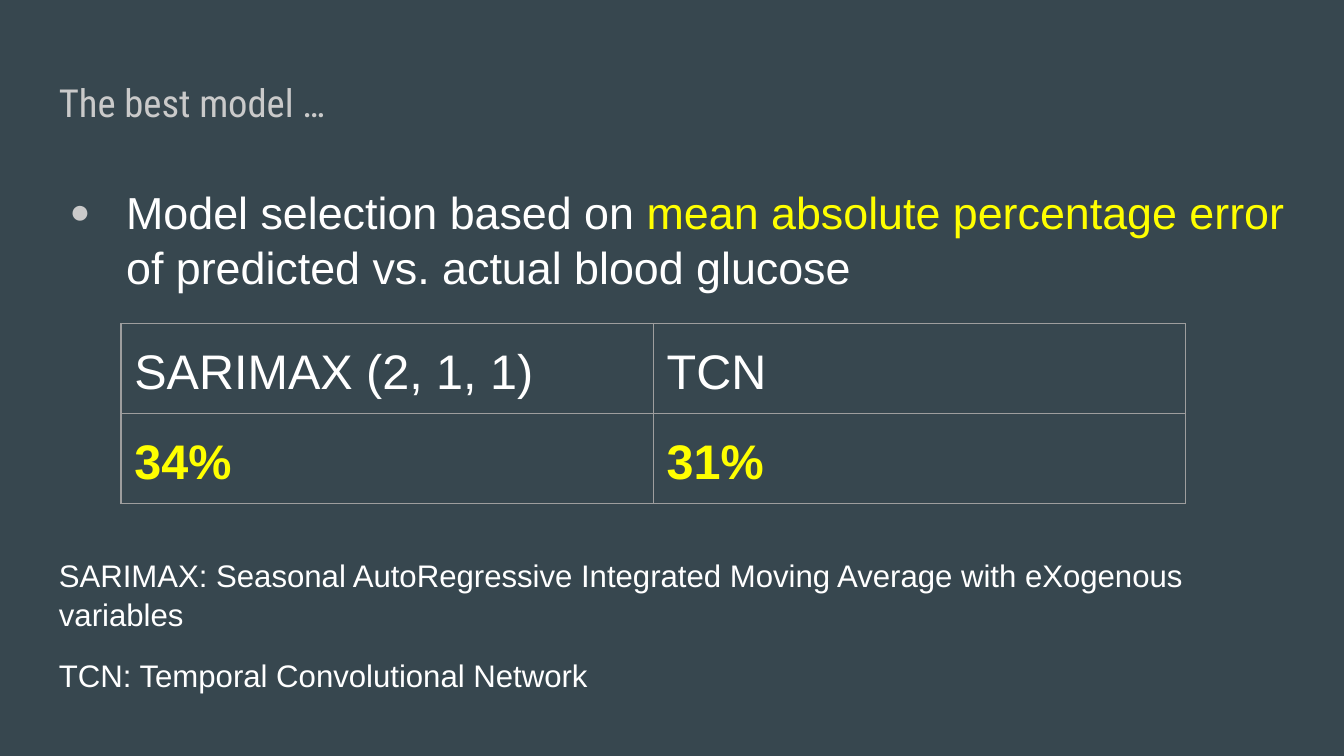
from lxml import etree
from pptx import Presentation
from pptx.dml.color import RGBColor
from pptx.oxml.ns import qn
from pptx.util import Inches, Pt

COLORS = {"back": "37474F", "title": "CACACA", "text": "FFFFFF",
          "mark": "FFFF00", "rule": "9E9E9E"}


def paint(name):
    return RGBColor.from_string(COLORS[name])


def add_text(para, text, size=24, color="text", font="Arial", bold=False):
    run = para.add_run()
    run.text = text
    run.font.size = Pt(size)
    run.font.name = font
    run.font.bold = bold
    run.font.color.rgb = paint(color)


def add_frame(slide, box):
    frame = slide.shapes.add_textbox(*map(Inches, box)).text_frame
    frame.word_wrap = True
    frame.margin_top = frame.margin_bottom = Inches(0.1)
    frame.margin_right = Inches(0.05)
    return frame


def add_bullet(para):
    props = para._p.get_or_add_pPr()
    props.set("marL", str(Inches(0.5)))
    props.set("indent", str(Inches(-0.42)))
    tint = etree.SubElement(props, qn("a:buClr"))
    etree.SubElement(tint, qn("a:srgbClr"), val=COLORS["title"])
    etree.SubElement(props, qn("a:buSzPct"), val="77000")
    etree.SubElement(props, qn("a:buFont"), typeface="Arial")
    etree.SubElement(props, qn("a:buChar"), char="●")


def add_rules(cell):
    props = cell._tc.get_or_add_tcPr()
    for spot, side in enumerate(("lnL", "lnR", "lnT", "lnB")):
        line = etree.Element(qn("a:" + side), w=str(Pt(0.75)))
        fill = etree.SubElement(line, qn("a:solidFill"))
        etree.SubElement(fill, qn("a:srgbClr"), val=COLORS["rule"])
        props.insert(spot, line)


def add_title(slide, box):
    para = add_frame(slide, box).paragraphs[0]
    add_text(para, "The best model …", size=20.7, color="title", font="Roboto Condensed")


def add_body(slide, box):
    frame = add_frame(slide, box)
    para = frame.paragraphs[0]
    para.line_spacing = 1.03
    add_bullet(para)
    add_text(para, "Model selection based on ")
    add_text(para, "mean absolute percentage error ", color="mark")
    add_text(para, "of predicted vs. actual blood glucose")
    notes = [("SARIMAX: Seasonal AutoRegressive Integrated Moving Average with eXogenous variables", 140),
             ("TCN: Temporal Convolutional Network", 12)]
    for text, gap in notes:
        para = frame.add_paragraph()
        para.line_spacing = 1.04
        para.space_before = Pt(gap)
        add_text(para, text, size=16.7)


def add_scores(slide, box):
    rows = [("SARIMAX (2, 1, 1)", "TCN"), ("34%", "31%")]
    frame = slide.shapes.add_table(len(rows), len(rows[0]), *map(Inches, box))
    table = frame.table
    table.first_row = table.horz_banding = False
    for r, row in enumerate(rows):
        for c, text in enumerate(row):
            cell = table.cell(r, c)
            cell.fill.background()
            cell.margin_left = cell.margin_right = cell.margin_top = Inches(0.1)
            cell.margin_bottom = Inches(0.07)
            add_rules(cell)
            para = cell.text_frame.paragraphs[0]
            para.line_spacing = 1.15
            add_text(para, text, size=26, color="mark" if r else "text", bold=r > 0)


def main():
    deck = Presentation()
    deck.slide_width, deck.slide_height = Inches(10), Inches(10 * 9 / 16)
    slide = deck.slides.add_slide(deck.slide_layouts[6])
    slide.background.fill.solid()
    slide.background.fill.fore_color.rgb = paint("back")
    left, width = 0.34, 9.32
    add_title(slide, (left, 0.49, width, 0.63))
    add_body(slide, (left, 1.26, width, 3.74))
    add_scores(slide, (0.9, 2.41, 7.92, 1.32))
    deck.save("out.pptx")


if __name__ == "__main__":
    main()
